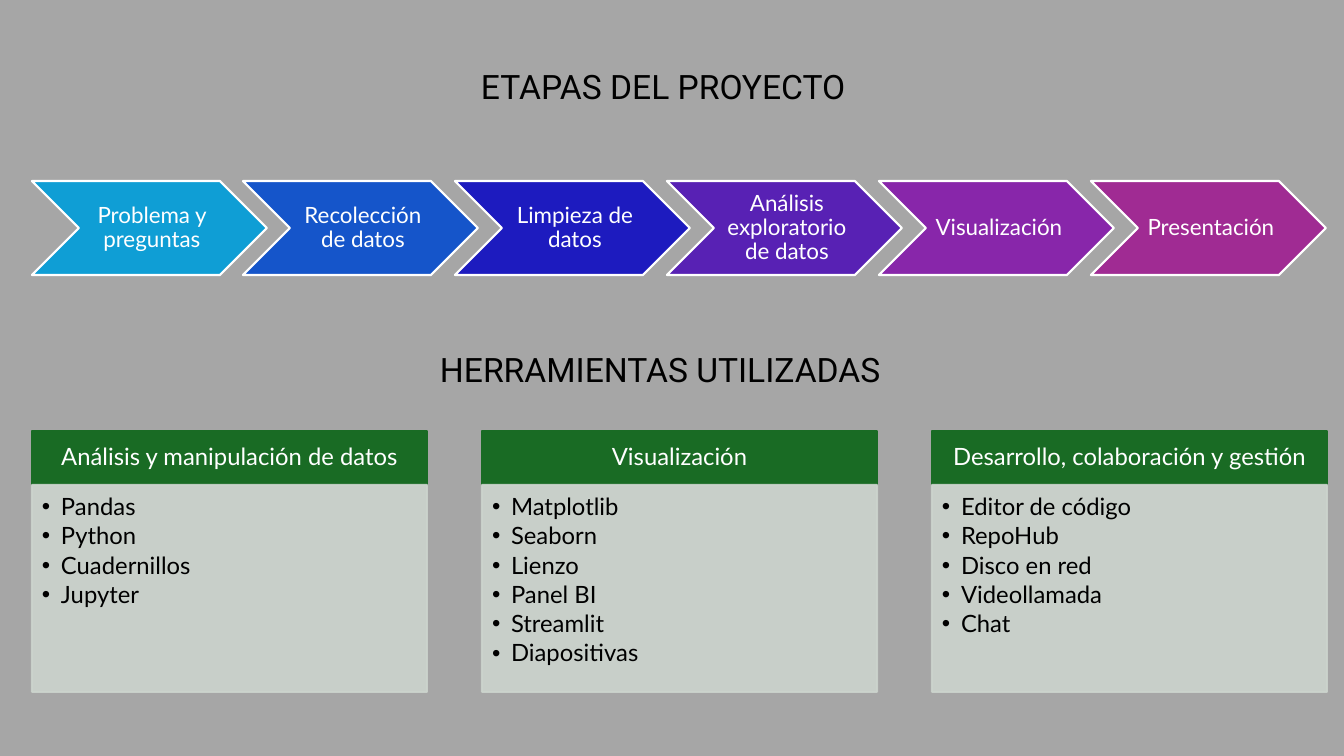
"""Slide with the stages of a data project and the tools it used."""
from lxml import etree
from pptx import Presentation
from pptx import util as u
from pptx.dml.color import RGBColor
from pptx.enum import shapes, text
from pptx.oxml import ns

PX = 914400 / 100.8
HUES = {
    "back": "A6A6A6", "ink": "000000", "white": "FFFFFF",
    "head": "196B24", "body": "CCD4CD",
    "sky": "0F9ED5", "blue": "1555CA", "navy": "1D1BBF",
    "violet": "5821B4", "purple": "8826AA", "plum": "A02B93",
}


def px(n):
    return u.Emu(round(n * PX))


def write(shape, lines, font, size, hue, pads, para, frame):
    body = shape.text_frame
    body.word_wrap = True
    for side, pad in zip(("left", "top", "right", "bottom"), pads):
        setattr(body, "margin_" + side, px(pad))
    for key, val in frame.items():
        setattr(body, key, val)
    body.text = "\n".join(lines)
    for p in body.paragraphs:
        for key, val in para.items():
            setattr(p, key, val)
        face = p.runs[0].font
        face.name, face.size = font, u.Pt(size)
        face.color.rgb = RGBColor.from_string(HUES[hue])


deck = Presentation()
deck.slide_width, deck.slide_height = px(1344), px(756)
slide = deck.slides.add_slide(deck.slide_layouts[6])
slide.background.fill.solid()
slide.background.fill.fore_color.rgb = RGBColor.from_string(HUES["back"])

left = {"alignment": text.PP_ALIGN.LEFT}
mid = {"alignment": text.PP_ALIGN.CENTER, "line_spacing": 0.9}
items = {**left, "line_spacing": 0.9, "space_after": u.Pt(2.55)}
center = {"vertical_anchor": text.MSO_ANCHOR.MIDDLE}
top = {"vertical_anchor": text.MSO_ANCHOR.TOP}

titles = [("ETAPAS DEL PROYECTO", 471, 61, 402),
          ("HERRAMIENTAS UTILIZADAS", 430, 344, 483)]
for title, x, y, w in titles:
    box = slide.shapes.add_textbox(px(x), px(y), px(w), px(50))
    write(box, [title], "Roboto", 24, "ink", (10, 5, 10, 5), left, top)

stages = [("Problema y preguntas", "sky"), ("Recolección de datos", "blue"),
          ("Limpieza de datos", "navy"),
          ("Análisis exploratorio de datos", "violet"),
          ("Visualización", "purple"), ("Presentación", "plum")]
tools = [
    ("Análisis y manipulación de datos",
     ["Pandas", "Python", "Cuadernillos", "Jupyter"]),
    ("Visualización",
     ["Matplotlib", "Seaborn", "Lienzo", "Panel BI", "Streamlit",
      "Diapositivas"]),
    ("Desarrollo, colaboración y gestión",
     ["Editor de código", "RepoHub", "Disco en red", "Videollamada", "Chat"]),
]

kind = shapes.MSO_SHAPE
blocks = []
for i, (stage, hue) in enumerate(stages):
    blocks.append((kind.CHEVRON, 32 + i * 1059 // 5, 181, 235, 94, hue, "white",
                   ([stage], "Lato", 16, "white", (7, 2, 2, 2), mid, center)))
for i, (head, names) in enumerate(tools):
    x = 32 + i * 450
    blocks.append((kind.RECTANGLE, x, 431, 395, 54, "head", "head",
                   ([head], "Lato", 17, "white", (13, 8, 13, 8), mid, center)))
    blocks.append((kind.RECTANGLE, x, 485, 395, 207, "body", "body",
                   (names, "Lato", 17, "ink", (10, 10, 13, 15), items, top)))

for form, x, y, w, h, hue, edge, words in blocks:
    shape = slide.shapes.add_shape(form, px(x), px(y), px(w), px(h))
    shape.shadow.inherit = False
    shape.fill.solid()
    shape.fill.fore_color.rgb = RGBColor.from_string(HUES[hue])
    shape.line.color.rgb = RGBColor.from_string(HUES[edge])
    shape.line.width = u.Pt(1.5)
    write(shape, *words)
    if hue == "body":
        for clr in shape.element.spPr.iter(ns.qn("a:srgbClr")):
            etree.SubElement(clr, ns.qn("a:alpha"), val="90000")
        for p in shape.text_frame.paragraphs:
            props = p._p.get_or_add_pPr()
            props.set("marL", str(px(19)))
            props.set("indent", str(px(-19)))
            etree.SubElement(props, ns.qn("a:buFont"), typeface="Arial")
            etree.SubElement(props, ns.qn("a:buChar"), char="•")

deck.save("out.pptx")
